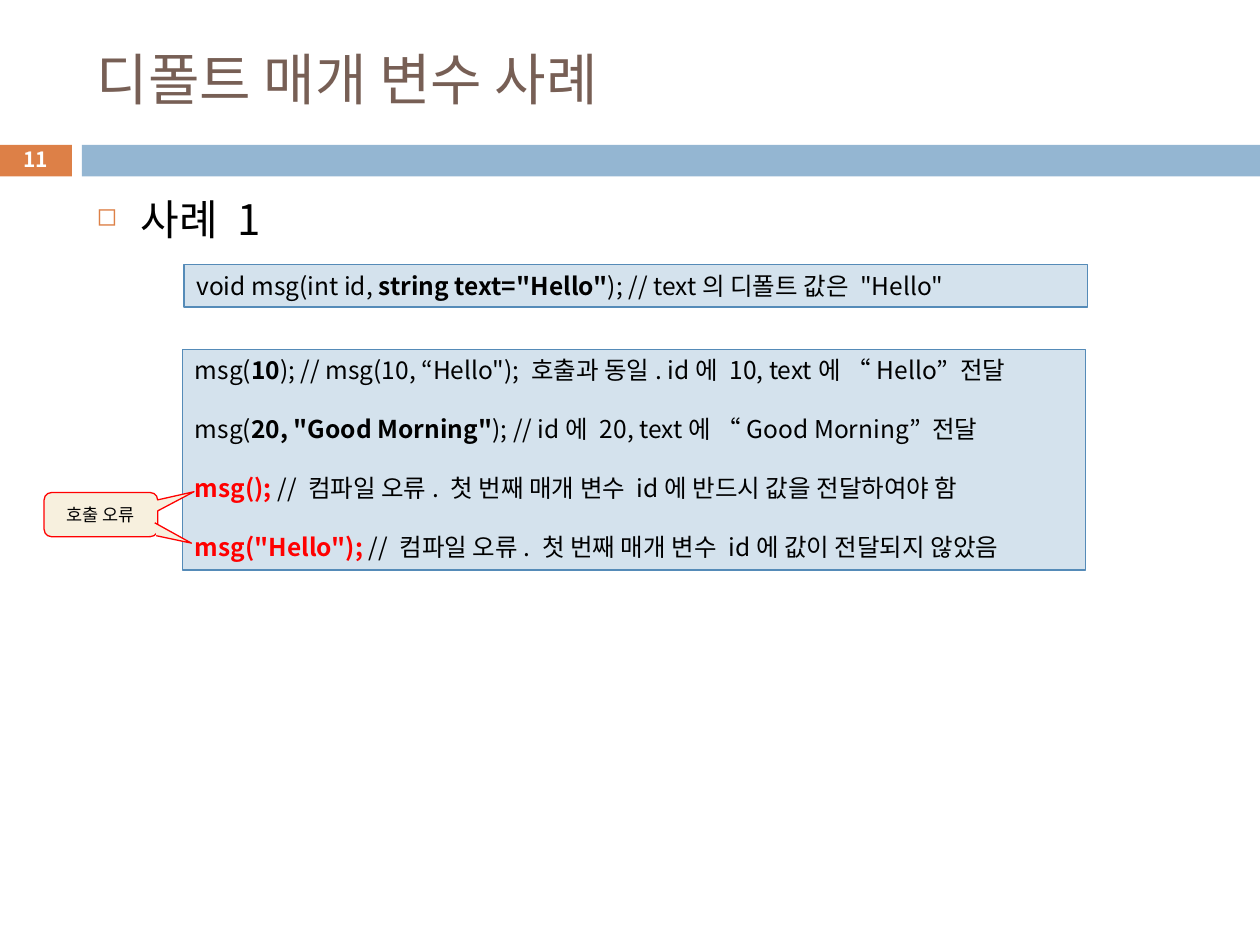
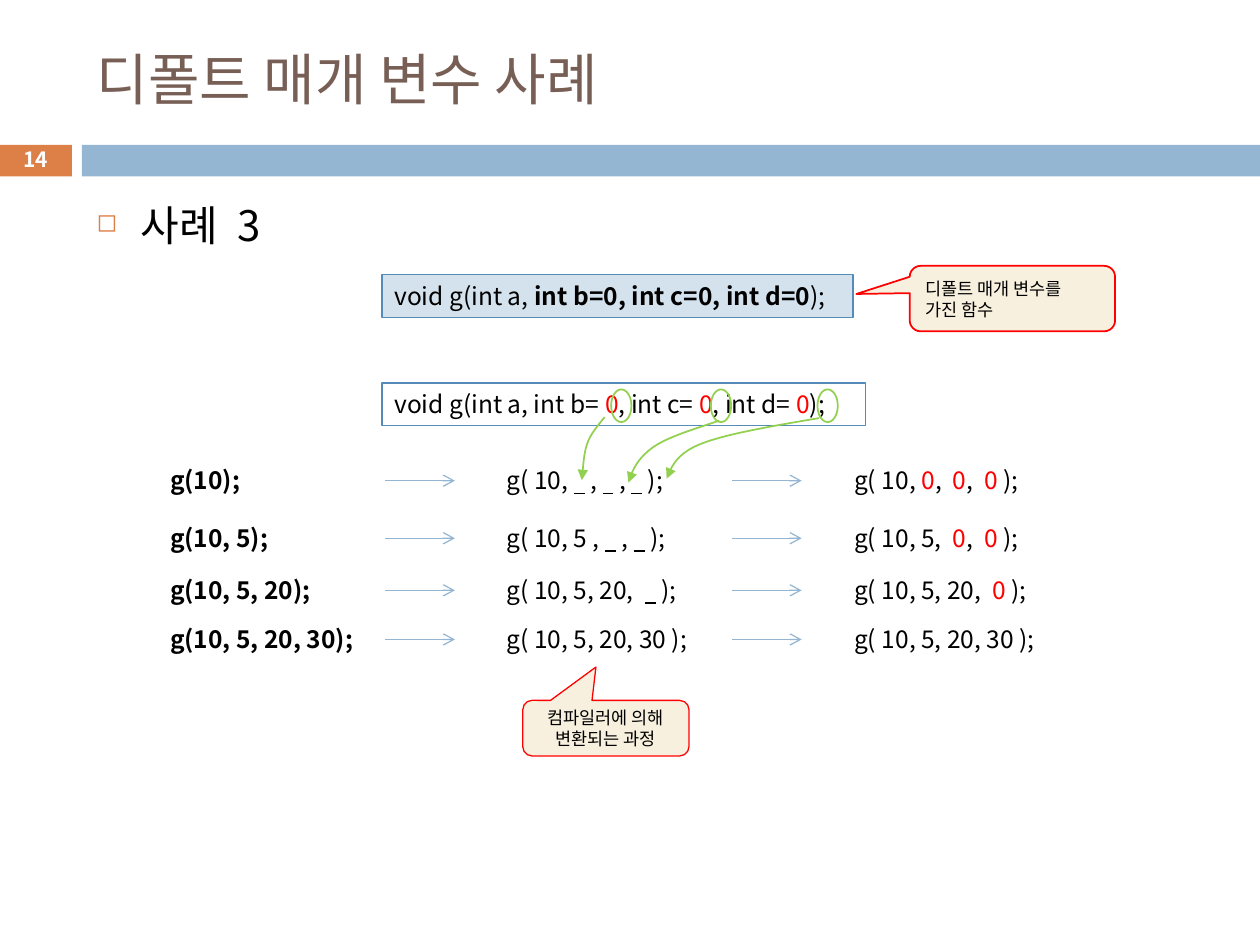
from dataclasses import dataclass

import pptx
import pptx.dml.color
import pptx.enum.shapes
import pptx.enum.text
import pptx.oxml.ns
import pptx.oxml.xmlchemy
import pptx.util
from lxml import etree

Cm, Pt = pptx.util.Cm, pptx.util.Pt
RGB = pptx.dml.color.RGBColor.from_string
SHAPE = pptx.enum.shapes.MSO_SHAPE
ALIGN = pptx.enum.text.PP_ALIGN
ANCHOR = pptx.enum.text.MSO_ANCHOR
qn = pptx.oxml.ns.qn


@dataclass(frozen=True)
class Theme:
    font: str = "Noto Sans CJK KR"
    title: str = "775F55"
    orange: str = "DD8047"
    blue: str = "94B6D2"
    box_fill: str = "D4E2ED"
    box_line: str = "558BB8"
    note_fill: str = "F7F0DE"
    red: str = "FF0000"
    green: str = "92D050"
    black: str = "000000"
    white: str = "FFFFFF"
    title_pt: float = 32
    body_pt: float = 24
    code_pt: float = 14
    number_pt: float = 12
    note_pt: float = 10
    line_height: float = 1.2
    hairline: float = 0.75


T = Theme()
BOLD = {"bold": True}
RED = {"color": T.red}
RED_BOLD = {"color": T.red, "bold": True}
BLANK = {"underline": True}


def add_xml(parent, tag, **attributes):
    return etree.SubElement(parent, qn(tag), attributes)


def add_run(p, text, size, color=T.black, bold=False, underline=False):
    r = p.add_run()
    r.text = text
    f = r.font
    f.size, f.bold, f.underline, f.name = Pt(size), bold, underline, T.font
    f.color.rgb = RGB(color)
    add_xml(r.font._element, "a:ea", typeface=T.font)


def put_text(sp, *lines, size=T.code_pt, mark=None, align=ALIGN.LEFT,
             anchor=ANCHOR.TOP, gap=0, margin_right=0.25, **fmt):
    """Each line is a string or (string, mark); parts between | take the mark."""
    tf = sp.text_frame
    tf.word_wrap = True
    tf.vertical_anchor = anchor
    tf.margin_right = Cm(margin_right)
    for i, line in enumerate(lines):
        text, line_mark = (line, mark) if isinstance(line, str) else line
        p = tf.add_paragraph() if i else tf.paragraphs[0]
        p.alignment = align
        p.line_spacing = Pt(size * T.line_height)
        p.space_before = Pt(gap if i else 0)
        for j, part in enumerate(text.split("|")):
            if part:
                add_run(p, part, size, **{**fmt, **(line_mark if j % 2 else {})})
    return tf


class Deck:
    def __init__(self):
        self.prs = pptx.Presentation()
        self.prs.slide_width, self.prs.slide_height = Cm(25.4), Cm(19.05)
        self.s = None

    def slide(self, number, title, topic, topic_top):
        self.s = self.prs.slides.add_slide(self.prs.slide_layouts[6])
        self.shape(SHAPE.RECTANGLE, -0.02, 2.92, 1.47, 0.64, fill=T.orange)
        self.shape(SHAPE.RECTANGLE, 1.65, 2.92, 23.75, 0.64, fill=T.blue)
        self.text(1.7, 0.64, 22.66, 1.88, title, size=T.title_pt,
                  color=T.title, anchor=ANCHOR.MIDDLE)
        self.text(-0.02, 2.87, 1.47, 0.69, str(number), size=T.number_pt, bold=True,
                  color=T.white, align=ALIGN.CENTER, anchor=ANCHOR.MIDDLE)
        self.bullet(topic, topic_top)

    def bullet(self, text, top):
        tf = self.text(1.7, top, 22.66, 14, text, size=T.body_pt)
        pPr = tf.paragraphs[0]._p.get_or_add_pPr()
        indent = Cm(0.89)
        pPr.set("marL", str(indent))
        pPr.set("indent", str(-indent))
        add_xml(add_xml(pPr, "a:buClr"), "a:srgbClr", val=T.orange)
        add_xml(pPr, "a:buSzPct", val="60000")
        add_xml(pPr, "a:buChar", char="◻")

    def text(self, x, y, w, h, *lines, **fmt):
        sp = self.s.shapes.add_textbox(Cm(x), Cm(y), Cm(w), Cm(h))
        return put_text(sp, *lines, **fmt)

    def style(self, sp, fill=None, line=None, width=T.hairline):
        sp.shadow.inherit = False
        if fill:
            sp.fill.solid()
            sp.fill.fore_color.rgb = RGB(fill)
        else:
            sp.fill.background()
        if line:
            sp.line.color.rgb = RGB(line)
            sp.line.width = Pt(width)
        else:
            sp.line.fill.background()
        return sp

    def shape(self, kind, x, y, w, h, **look):
        sp = self.s.shapes.add_shape(kind, Cm(x), Cm(y), Cm(w), Cm(h))
        return self.style(sp, **look)

    def code_box(self, x, y, w, h, *lines, fill=T.box_fill, **fmt):
        sp = self.shape(SHAPE.RECTANGLE, x, y, w, h, fill=fill, line=T.box_line)
        put_text(sp, *lines, **fmt)

    def callout(self, x, y, w, h, text, tip, width=T.hairline,
                align=ALIGN.CENTER, **fmt):
        """tip is the pointer's end, as shares of the size from the centre."""
        sp = self.shape(SHAPE.ROUNDED_RECTANGULAR_CALLOUT, x, y, w, h,
                        fill=T.note_fill, line=T.red, width=width)
        sp.adjustments[0], sp.adjustments[1] = tip
        put_text(sp, text, size=T.note_pt, align=align, anchor=ANCHOR.MIDDLE, **fmt)

    def outline(self, points, **look):
        start, *rest = [(Cm(x), Cm(y)) for x, y in points]
        builder = self.s.shapes.build_freeform(*start)
        builder.add_line_segments(rest, close=False)
        return self.style(builder.convert_to_shape(), **look)

    def arrowhead(self, sp, kind):
        add_xml(sp._element.spPr.find(qn("a:ln")), "a:tailEnd", type=kind)

    def arrow(self, x, y, length):
        c = self.s.shapes.add_connector(pptx.enum.shapes.MSO_CONNECTOR.STRAIGHT,
                                        Cm(x), Cm(y), Cm(x + length), Cm(y))
        c.line.color.rgb = RGB(T.blue)
        c.line.width = Pt(T.hairline)
        self.arrowhead(c, "arrow")
        add_xml(c._element.spPr, "a:effectLst")

    def curved_arrow(self, controls):
        points = bezier(controls[:4]) + bezier(controls[3:])[1:]
        self.arrowhead(self.outline(points, line=T.green, width=1), "triangle")


def bezier(controls, steps=10):
    def at(t):
        weights = ((1 - t) ** 3, 3 * t * (1 - t) ** 2, 3 * t * t * (1 - t), t ** 3)
        return tuple(sum(k * v for k, v in zip(weights, axis)) for axis in zip(*controls))
    return [at(i / steps) for i in range(steps + 1)]


def example_one(deck):
    deck.slide(11, "디폴트 매개 변수 사례", "사례 1", 3.78)
    deck.code_box(3.71, 5.33, 18.21, 0.86,
                  'void msg(int id, |string text="Hello"|); // text의 디폴트 값은 "Hello"',
                  mark=BOLD)
    deck.code_box(
        3.68, 7.04, 18.21, 4.45,
        ('msg(|10|); // msg(10, “Hello"); 호출과 동일. id에 10, text에 “Hello” 전달', BOLD),
        ('msg(|20, "Good Morning"|); // id에 20, text에 “Good Morning” 전달', BOLD),
        "|msg(); |// 컴파일 오류. 첫 번째 매개 변수 id에 반드시 값을 전달하여야 함",
        '|msg("Hello"); |// 컴파일 오류. 첫 번째 매개 변수 id에 값이 전달되지 않았음',
        mark=RED_BOLD, gap=T.code_pt * T.line_height)
    deck.callout(0.89, 9.93, 2.29, 0.89, "호출 오류", tip=(0.82, -0.52))
    second_tip = [(3.12, 10.54), (3.86, 10.95), (3.15, 10.8)]
    deck.outline(second_tip, fill=T.note_fill, line=T.red)


def example_three(deck):
    deck.slide(14, "디폴트 매개 변수 사례", "사례 3", 3.89)
    deck.code_box(7.7, 7.72, 9.75, 0.86,
                  "void g(int a, int b= |0|, int c= |0|, int d= |0|);", fill=None, mark=RED)

    calls = [  # top, width of the call, call, blanks to fill, filled call
        (9.25, 2.06, "g(10);", "g( 10, |  | , |  | , |  | );",
         "g( 10, |0|,  |0|,  |0| );"),
        (10.41, 2.67, "g(10, 5);", "g( 10, 5 , |  | , |  | );",
         "g( 10, 5,  |0|,  |0| );"),
        (11.46, 3.53, "g(10, 5, 20);", "g( 10, 5, 20,  |  | );",
         "g( 10, 5, 20,  |0| );"),
        (12.45, 4.42, "g(10, 5, 20, 30);", "g( 10, 5, 20, 30 );",
         "g( 10, 5, 20, 30 );"),
    ]
    for top, width, call, blanks, filled in calls:
        deck.text(3.18, top, width, 0.86, call, bold=True)
        deck.text(9.96, top, 4.5, 0.86, blanks, mark=BLANK)
        deck.text(16.97, top, 4.25, 0.86, filled, mark=RED)
        for x in (7.77, 14.76):
            deck.arrow(x, top + 0.44, 1.4)

    for x in (12.32, 14.33, 16.48):
        deck.shape(SHAPE.OVAL, x, 7.85, 0.41, 0.66, line=T.green, width=1)
    for controls in (
        [(12.19, 8.41), (12.07, 8.56), (11.91, 8.74), (11.84, 8.94),
         (11.76, 9.17), (11.76, 9.42), (11.73, 9.68)],
        [(14.5, 8.48), (13.97, 8.66), (13.46, 8.81), (13.16, 9.02),
         (12.85, 9.25), (12.75, 9.47), (12.67, 9.73)],
        [(16.51, 8.43), (15.57, 8.59), (14.68, 8.74), (14.15, 8.94),
         (13.64, 9.14), (13.54, 9.4), (13.44, 9.65)],
    ):
        deck.curved_arrow(controls)

    deck.code_box(7.7, 5.54, 9.5, 0.86,
                  "void g(int a, |int b=0, int c=0, int d=0|);", mark=BOLD)
    deck.callout(18.34, 5.36, 4.14, 1.32, "디폴트 매개 변수를 가진 함수",
                 tip=(-0.76, -0.07), width=1, align=ALIGN.LEFT, margin_right=0.4)
    deck.callout(10.54, 14.12, 3.35, 1.12, "컴파일러에 의해 변환되는 과정",
                 tip=(-0.06, -1.1))


def main():
    deck = Deck()
    example_one(deck)
    example_three(deck)
    deck.prs.save("out.pptx")


if __name__ == "__main__":
    main()
